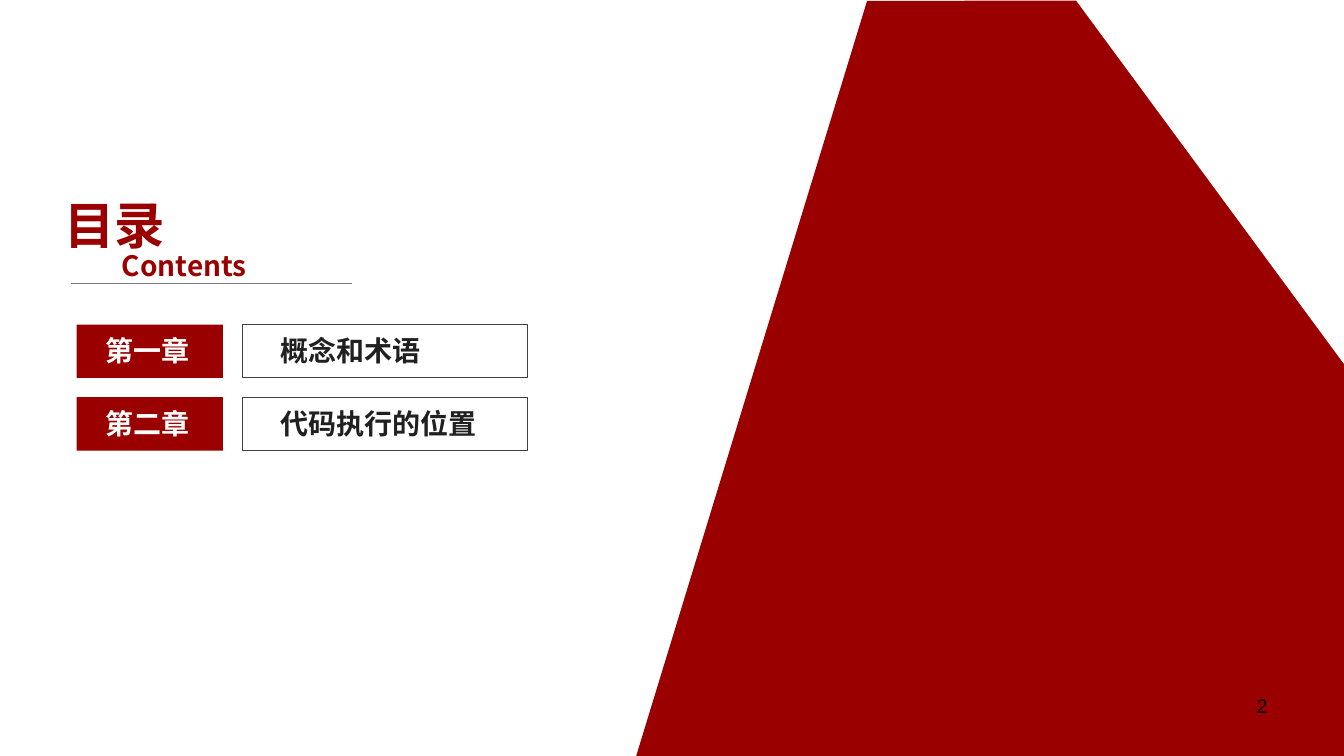
"""Build the contents slide: a title, two chapter rows and a large red panel."""
import dataclasses
import typing

import lxml.etree
import pptx
import pptx.dml.color
import pptx.enum.shapes
import pptx.enum.text
import pptx.oxml.ns
import pptx.shapes.autoshape
import pptx.slide
import pptx.util

PX = 9144
SLIDE_WIDTH, SLIDE_HEIGHT = 1333, 750
ROW_TOP, ROW_PITCH, ROW_HEIGHT = 322, 72, 53
HEADING_FONT = "Noto Sans CJK SC"
COLORS = {
    "red": "9A0000",
    "white": "FFFFFF",
    "ink": "202020",
    "frame": "404040",
    "rule": "7F7F7F",
    "black": "000000",
}


@dataclasses.dataclass(frozen=True)
class Box:
    left: int
    top: int
    width: int
    height: int

    def emu(self) -> tuple[int, ...]:
        return tuple(length * PX for length in dataclasses.astuple(self))


@dataclasses.dataclass(frozen=True)
class Label:
    text: str
    box: Box
    size: int
    color: str
    font: str = HEADING_FONT
    bold: bool = True
    right_aligned: bool = False
    grows: bool = True


@dataclasses.dataclass(frozen=True)
class Chapter:
    number: str
    title: str


@dataclasses.dataclass(frozen=True)
class Panel:
    points: tuple[tuple[int, int], ...]
    color: str


PANELS = (
    Panel(((860, 1), (1333, 0), (1333, 750), (631, 750)), "red"),
    Panel(((1067, 0), (1333, 0), (1333, 361)), "white"),
)
CHAPTERS = (
    Chapter("第一章", "概念和术语"),
    Chapter("第二章", "代码执行的位置"),
)
HEADINGS = (
    Label("目录", Box(54, 188, 157, 71), 36, "red"),
    Label("Contents", Box(111, 242, 157, 44), 20, "red"),
)
PAGE_NUMBER = Label("2", Box(956, 683, 311, 52), 14, "black", "Arial",
                    bold=False, right_aligned=True, grows=False)


def rgb(name: str) -> pptx.dml.color.RGBColor:
    return pptx.dml.color.RGBColor.from_string(COLORS[name])


def paint(shape: pptx.shapes.autoshape.Shape, fill: typing.Optional[str],
          line: typing.Optional[str] = None) -> None:
    shape.shadow.inherit = False
    if fill:
        shape.fill.solid()
        shape.fill.fore_color.rgb = rgb(fill)
    else:
        shape.fill.background()
    if line:
        shape.line.color.rgb = rgb(line)
        shape.line.width = pptx.util.Pt(0.75)
    else:
        shape.line.fill.background()


def draw_panel(slide: pptx.slide.Slide, panel: Panel) -> None:
    start, *corners = panel.points
    outline = slide.shapes.build_freeform(*start, scale=PX)
    outline.add_line_segments(corners, close=True)
    paint(outline.convert_to_shape(), panel.color)


def draw_rectangle(slide: pptx.slide.Slide, box: Box, fill: typing.Optional[str],
                   line: typing.Optional[str] = None) -> None:
    rectangle = pptx.enum.shapes.MSO_SHAPE.RECTANGLE
    paint(slide.shapes.add_shape(rectangle, *box.emu()), fill, line)


def draw_label(slide: pptx.slide.Slide, label: Label) -> None:
    frame = slide.shapes.add_textbox(*label.box.emu()).text_frame
    frame.word_wrap = True
    if label.grows:
        frame.auto_size = pptx.enum.text.MSO_AUTO_SIZE.SHAPE_TO_FIT_TEXT
    frame.text = label.text
    paragraph = frame.paragraphs[0]
    if label.right_aligned:
        paragraph.alignment = pptx.enum.text.PP_ALIGN.RIGHT
    font = paragraph.runs[0].font
    font.size = pptx.util.Pt(label.size)
    font.bold = label.bold
    font.name = label.font
    font.color.rgb = rgb(label.color)
    east_asian = lxml.etree.Element(pptx.oxml.ns.qn("a:ea"), typeface=label.font)
    paragraph.runs[0].font._element.find(pptx.oxml.ns.qn("a:latin")).addnext(east_asian)


def draw_chapter(slide: pptx.slide.Slide, chapter: Chapter, top: int) -> None:
    draw_rectangle(slide, Box(241, top, 282, ROW_HEIGHT), None, "frame")
    draw_label(slide, Label(chapter.title, Box(268, top + 4, 244, 44), 20, "ink"))
    draw_rectangle(slide, Box(76, top, 145, ROW_HEIGHT), "red")
    draw_label(slide, Label(chapter.number, Box(95, top + 4, 105, 44), 20, "white"))


def draw_rule(slide: pptx.slide.Slide, left: int, right: int, top: int) -> None:
    rule = slide.shapes.add_connector(
        pptx.enum.shapes.MSO_CONNECTOR.STRAIGHT,
        left * PX, top * PX, right * PX, top * PX)
    rule.line.color.rgb = rgb("rule")
    rule.line.width = pptx.util.Pt(0.5)
    lxml.etree.SubElement(rule._element.spPr, pptx.oxml.ns.qn("a:effectLst"))


def main() -> None:
    deck = pptx.Presentation()
    deck.slide_width, deck.slide_height = SLIDE_WIDTH * PX, SLIDE_HEIGHT * PX
    contents = deck.slides.add_slide(deck.slide_layouts[6])
    for panel in PANELS:
        draw_panel(contents, panel)
    for row, chapter in enumerate(CHAPTERS):
        draw_chapter(contents, chapter, ROW_TOP + row * ROW_PITCH)
    for heading in HEADINGS:
        draw_label(contents, heading)
    draw_rule(contents, 70, 349, 281)
    draw_label(contents, PAGE_NUMBER)
    deck.save("out.pptx")


if __name__ == "__main__":
    main()
